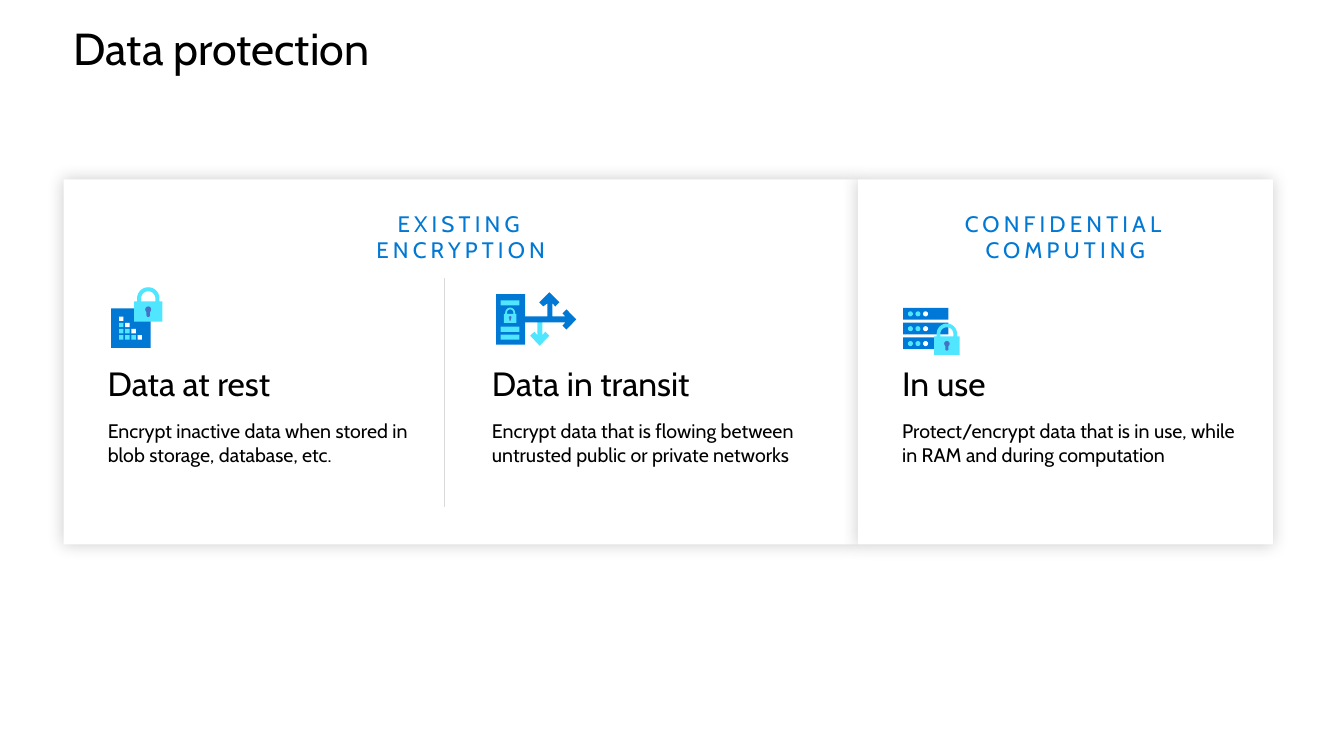
"""Builds the data protection slide with its two cards and three icons."""
from copy import deepcopy
from math import cos, pi, sin

from lxml import etree
from pptx import Presentation
from pptx.dml.color import RGBColor
from pptx.enum.shapes import MSO_CONNECTOR, MSO_SHAPE
from pptx.enum.text import MSO_ANCHOR, MSO_AUTO_SIZE, PP_ALIGN
from pptx.oxml import parse_xml
from pptx.oxml.ns import nsdecls, qn
from pptx.util import Pt

RECTANGLE = MSO_SHAPE.RECTANGLE
ROUNDED = MSO_SHAPE.ROUNDED_RECTANGLE
OVAL = MSO_SHAPE.OVAL
STRAIGHT = MSO_CONNECTOR.STRAIGHT
TOP = MSO_ANCHOR.TOP
LEFT, CENTER = PP_ALIGN.LEFT, PP_ALIGN.CENTER
FIXED, GROW = MSO_AUTO_SIZE.NONE, MSO_AUTO_SIZE.SHAPE_TO_FIT_TEXT

FONT = "Cabin"
COLORS = {
    "white": "FFFFFF",
    "black": "000000",
    "blue": "0078D4",
    "server": "0078D7",
    "cyan": "50E6FF",
    "keyhole": "4472C4",
    "divider": "D9D9D9",
}
CARD_TOP, CARD_HEIGHT = 128.2, 260.6
CARDS = [
    (45.4, 567.4, "EXISTING\vENCRYPTION"),
    (612.7, 296.6, "CONFIDENTIAL\vCOMPUTING"),
]
TOPICS = [
    (77, 126.7, 221.8, "Data at rest",
     "Encrypt inactive data when stored in blob storage, database, etc."),
    (351.4, 154.8, 229, "Data in transit",
     "Encrypt data that is flowing between untrusted public or private networks"),
    (644.4, 65.5, 241.2, "In use",
     "Protect/encrypt data that is in use, while in RAM and during computation"),
]
DOWN_ARROW = [
    (392.4, 239.8), (389.5, 237), (387.4, 239.4), (387.4, 229.7), (383.8, 229.7),
    (383.8, 239.4), (381.7, 237), (378.7, 239.8), (385.5, 247),
]
FORKED_ARROW = [
    (401.8, 232.6), (404.6, 235.4), (411.6, 228.2), (404.6, 221), (401.8, 223.9),
    (403.9, 226.1), (394.6, 226.1), (394.6, 216.7), (396.7, 218.9), (399.6, 216),
    (392.4, 208.8), (385.2, 216), (388.1, 218.9), (391, 216.7), (391, 226.1),
    (373.7, 226.1), (373.7, 230.4), (403.9, 230.4),
]


def arch(center, radius, base):
    """Return an arch outline from the left foot to the right foot."""
    curve = [(center - radius * cos(pi * step / 16), 8 - radius * sin(pi * step / 16))
             for step in range(17)]
    return [(center - radius, base), *curve, (center + radius, base)]


class SlideBuilder:
    """Holds the style and the current slide."""

    def __init__(self, page):
        self.page = page
        self.shapes = page.shapes

    def color(self, name):
        return RGBColor.from_string(COLORS[name])

    def paint(self, shape, color):
        shape.shadow.inherit = False
        shape.fill.solid()
        shape.fill.fore_color.rgb = self.color(color)
        shape.line.fill.background()
        return shape

    def shape(self, kind, left, top, width, height, color):
        box = self.shapes.add_shape(kind, Pt(left), Pt(top), Pt(width), Pt(height))
        return self.paint(box, color)

    def outline(self, contours, color):
        builder = None
        for contour in contours:
            points = [(Pt(x), Pt(y)) for x, y in contour]
            if builder is None:
                builder = self.shapes.build_freeform(*points[0])
            else:
                builder.move_to(*points[0])
            builder.add_line_segments(points[1:], close=True)
        return self.paint(builder.convert_to_shape(), color)

    def label(self, box, text, size, color="black", align=LEFT, spacing=None):
        para = box.text_frame.paragraphs[0]
        para.text = text
        para.alignment = align
        for span in para.runs:
            span.font.name = FONT
            span.font.size = Pt(size)
            span.font.color.rgb = self.color(color)
            if spacing:
                span.font._element.set("spc", str(spacing * 100))
        for line_break in para._p.findall(qn("a:br")):
            line_break.insert(0, deepcopy(para.runs[0].font._element))
        return para

    def title(self, text):
        box = self.shapes.title
        box.left, box.top, box.width, box.height = Pt(45.4), Pt(11.5), Pt(766.8), Pt(46.1)
        frame = box.text_frame
        frame.auto_size, frame.vertical_anchor = FIXED, TOP
        self.label(box, text, 32)

    def text(self, left, top, width, height, text, size, after, wrap=True):
        box = self.shapes.add_textbox(Pt(left), Pt(top), Pt(width), Pt(height))
        frame = box.text_frame
        frame.margin_left = frame.margin_right = frame.margin_top = frame.margin_bottom = 0
        frame.word_wrap, frame.auto_size = wrap, GROW
        para = self.label(box, text, size)
        para.space_after = Pt(after)
        return para

    def card(self, left, width, heading):
        box = self.shape(RECTANGLE, left, CARD_TOP, width, CARD_HEIGHT, "white")
        effects = box._element.spPr.find(qn("a:effectLst"))
        effects.append(parse_xml(
            f'<a:outerShdw {nsdecls("a")} blurRad="{Pt(12)}" dist="0" algn="ctr" '
            f'rotWithShape="0"><a:srgbClr val="{COLORS["black"]}">'
            '<a:alpha val="20000"/></a:srgbClr></a:outerShdw>'))
        frame = box.text_frame
        frame.margin_left = frame.margin_right = frame.margin_bottom = 0
        frame.margin_top = Pt(21.6)
        frame.vertical_anchor = TOP
        self.label(box, heading, 16, "blue", CENTER, spacing=3)

    def divider(self, x, top, bottom):
        line = self.shapes.add_connector(STRAIGHT, Pt(x), Pt(top), Pt(x), Pt(bottom))
        line.line.color.rgb = self.color("divider")
        line.line.width = Pt(1)
        etree.SubElement(line._element.spPr, qn("a:effectLst"))

    def topic(self, left, heading_width, body_width, heading, body):
        self.text(left, 299.5, body_width, 33.8, body, 14, 6)
        para = self.text(left, 262.8, heading_width, 25.9, heading, 24, 18, wrap=False)
        para.line_spacing = 0.9

    def lock(self, left, top, scale=1):
        body = [(20.2, 10.1), (20.2, 24.5), (0, 24.5), (0, 10.1)]
        contours = [arch(10.1, 8, 10.1) + body, arch(10.1, 5.1, 10.1)]
        self.outline([[(left + x * scale, top + y * scale) for x, y in contour]
                      for contour in contours], "cyan")
        for kind, x, y, width, height in [(OVAL, 7.95, 13.7, 4.3, 4.3),
                                          (ROUNDED, 8.85, 15.8, 2.5, 5.4)]:
            part = self.shape(kind, left + x * scale, top + y * scale,
                              width * scale, height * scale, "keyhole")
            if kind == ROUNDED:
                part.adjustments[0] = 0.5

    def storage_icon(self):
        self.shape(RECTANGLE, 79.4, 220.3, 28.2, 28.2, "blue")
        for row in range(4):
            for column in range(row + 1):
                color = "white" if column == row else "cyan"
                self.shape(RECTANGLE, 85 + column * 4.45, 226.1 + row * 4.45, 3.1, 3.1, color)
        self.lock(95.8, 205.2)

    def transit_icon(self):
        self.shape(RECTANGLE, 354.4, 210.2, 20.7, 36, "blue")
        for top in (214.5, 233.3, 239):
            self.shape(RECTANGLE, 357.6, top, 13.4, 3.7, "cyan")
        self.lock(360, 219.8, 0.44)
        self.outline([DOWN_ARROW], "cyan")
        self.outline([FORKED_ARROW], "blue")

    def server_icon(self):
        for row in range(3):
            top = 219.9 + row * 10.6
            self.shape(RECTANGLE, 645.1, top, 32.4, 8.4, "server")
            for column, color in enumerate(("cyan", "cyan", "white")):
                self.shape(OVAL, 648.5 + column * 5.4, top + 2.5, 3.6, 3.6, color)
        self.lock(667.2, 231.1, 0.91)


def main():
    deck = Presentation()
    deck.slide_width, deck.slide_height = Pt(960), Pt(540)
    builder = SlideBuilder(deck.slides.add_slide(deck.slide_layouts[5]))
    builder.title("Data protection")
    for card in CARDS:
        builder.card(*card)
    builder.divider(317.5, 198.7, 362.2)
    for topic in TOPICS:
        builder.topic(*topic)
    builder.storage_icon()
    builder.transit_icon()
    builder.server_icon()
    deck.save("out.pptx")


if __name__ == "__main__":
    main()
